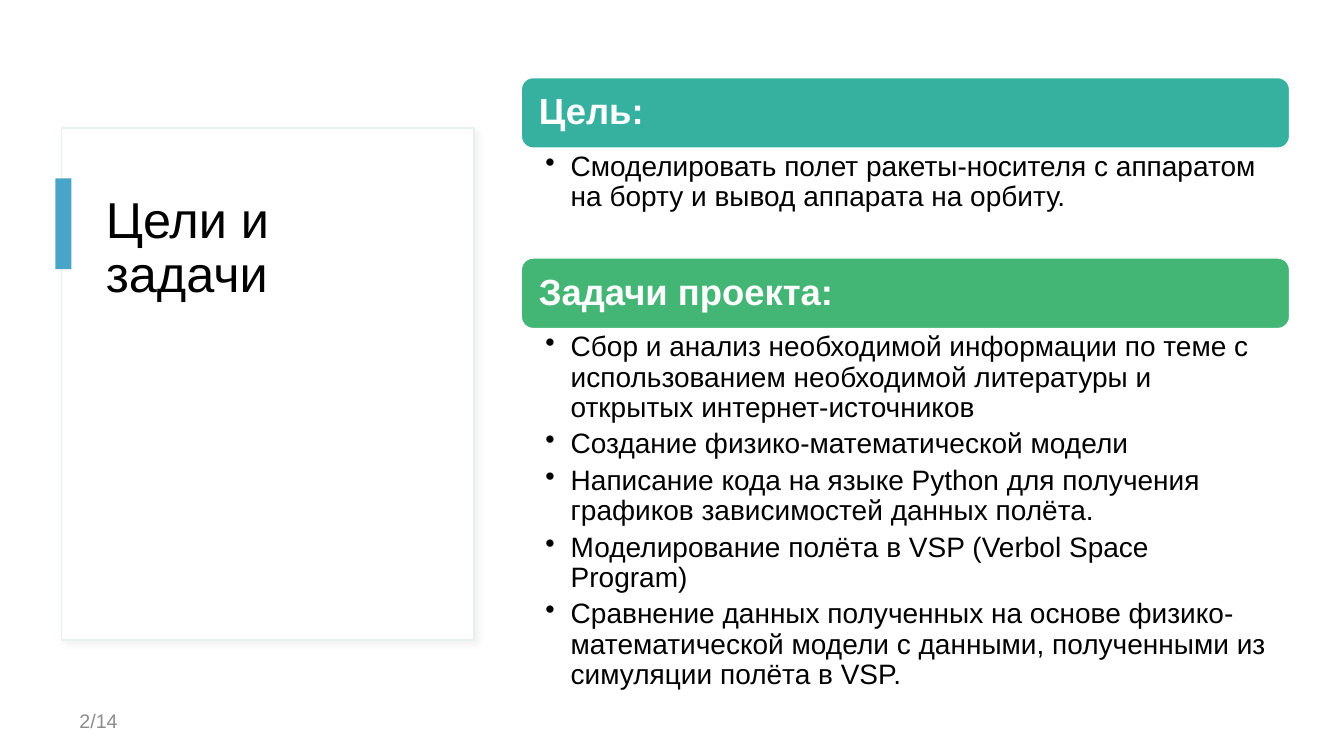
"""Build the slide with the project goal and tasks."""
from lxml import etree
from pptx import Presentation
from pptx import util as u
from pptx.dml.color import RGBColor
from pptx.enum import shapes, text
from pptx.oxml import ns, parse_xml

prs = Presentation()
prs.slide_width, prs.slide_height = u.Inches(13.33), u.Inches(7.5)
s = prs.slides.add_slide(prs.slide_layouts[5])


def add_box(kind, box, fill, line=None):
    sp = s.shapes.add_shape(kind, *map(u.Inches, box))
    sp.shadow.inherit = False
    sp.fill.solid()
    sp.fill.fore_color.rgb = RGBColor.from_string(fill)
    if line:
        sp.line.color.rgb = RGBColor.from_string(line)
        sp.line.width = u.Pt(1)
    else:
        sp.line.fill.background()
    return sp


def write(sp, lines, size, color="000000", bold=False, spacing=0.9, after=0,
          insets=(0.1, 0.05, 0.1, 0.05), anchor="TOP", bullet=False):
    tf = sp.text_frame
    tf.word_wrap = True
    tf.auto_size = text.MSO_AUTO_SIZE.NONE
    tf.vertical_anchor = text.MSO_ANCHOR[anchor]
    tf.margin_left, tf.margin_top, tf.margin_right, tf.margin_bottom = map(u.Inches, insets)
    for i, line in enumerate(lines):
        p = tf.add_paragraph() if i else tf.paragraphs[0]
        p.alignment = text.PP_ALIGN.LEFT
        p.line_spacing, p.space_after = spacing, u.Pt(after)
        r = p.add_run()
        r.text = line
        r.font.name, r.font.size, r.font.bold = "Arial", u.Pt(size), bold
        r.font.color.rgb = RGBColor.from_string(color)
        if bullet:
            pPr = p._p.get_or_add_pPr()
            pPr.set("marL", str(u.Inches(0.25)))
            pPr.set("indent", str(-u.Inches(0.25)))
            etree.SubElement(pPr, ns.qn("a:buChar"), char="•")


rect, rounded = shapes.MSO_SHAPE.RECTANGLE, shapes.MSO_SHAPE.ROUNDED_RECTANGLE

card = add_box(rect, (0.61, 1.27, 4.09, 5.08), "FFFFFF", "E4F0EE")
card.element.spPr.find(ns.qn("a:effectLst")).append(parse_xml(
    f'<a:outerShdw {ns.nsdecls("a")} blurRad="{u.Pt(4)}" dist="{u.Pt(3)}" dir="2700000">'
    '<a:srgbClr val="D9D9D9"><a:alpha val="30000"/></a:srgbClr></a:outerShdw>'))

title = s.shapes.title
title.left, title.top, title.width, title.height = map(u.Inches, (0.95, 1.88, 3.39, 3.85))
write(title, ["Цели и задачи"], 36)
card.element.addnext(title.element)
add_box(rect, (0.55, 1.77, 0.16, 0.9), "49A5C7")

sections = [
    ("Цель:", "36B19F", 0.77, 1.09, [
        "Смоделировать полет ракеты-носителя с аппаратом на борту и вывод аппарата на орбиту.",
    ]),
    ("Задачи проекта:", "43B675", 2.56, 3.47, [
        "Сбор и анализ необходимой информации по теме c использованием необходимой "
        "литературы и открытых интернет-источников",
        "Создание физико-математической модели",
        "Написание кода на языке Python для получения графиков зависимостей данных полёта.",
        "Моделирование полёта в VSP (Verbol Space Program)",
        "Сравнение данных полученных на основе физико-математической модели с данными, "
        "полученными из симуляции полёта в VSP.",
    ]),
]
left, width, header_height = 5.17, 7.62, 0.7
for heading, color, top, body_height, items in sections:
    header = add_box(rounded, (left, top, width, header_height), color, "FFFFFF")
    write(header, [heading], 26, "FFFFFF", bold=True, anchor="MIDDLE",
          insets=(0.14, 0.11, 0.14, 0.11))
    body = s.shapes.add_textbox(*map(u.Inches, (left, top + header_height, width, body_height)))
    write(body, items, 20, after=4.5, insets=(0.24, 0.04, 0.2, 0.04), bullet=True)

number = s.shapes.add_textbox(*map(u.Inches, (0.69, 6.95, 3, 0.4)))
write(number, ["2/14"], 14, "8C8C8C", spacing=1.0, anchor="MIDDLE")

prs.save("out.pptx")
